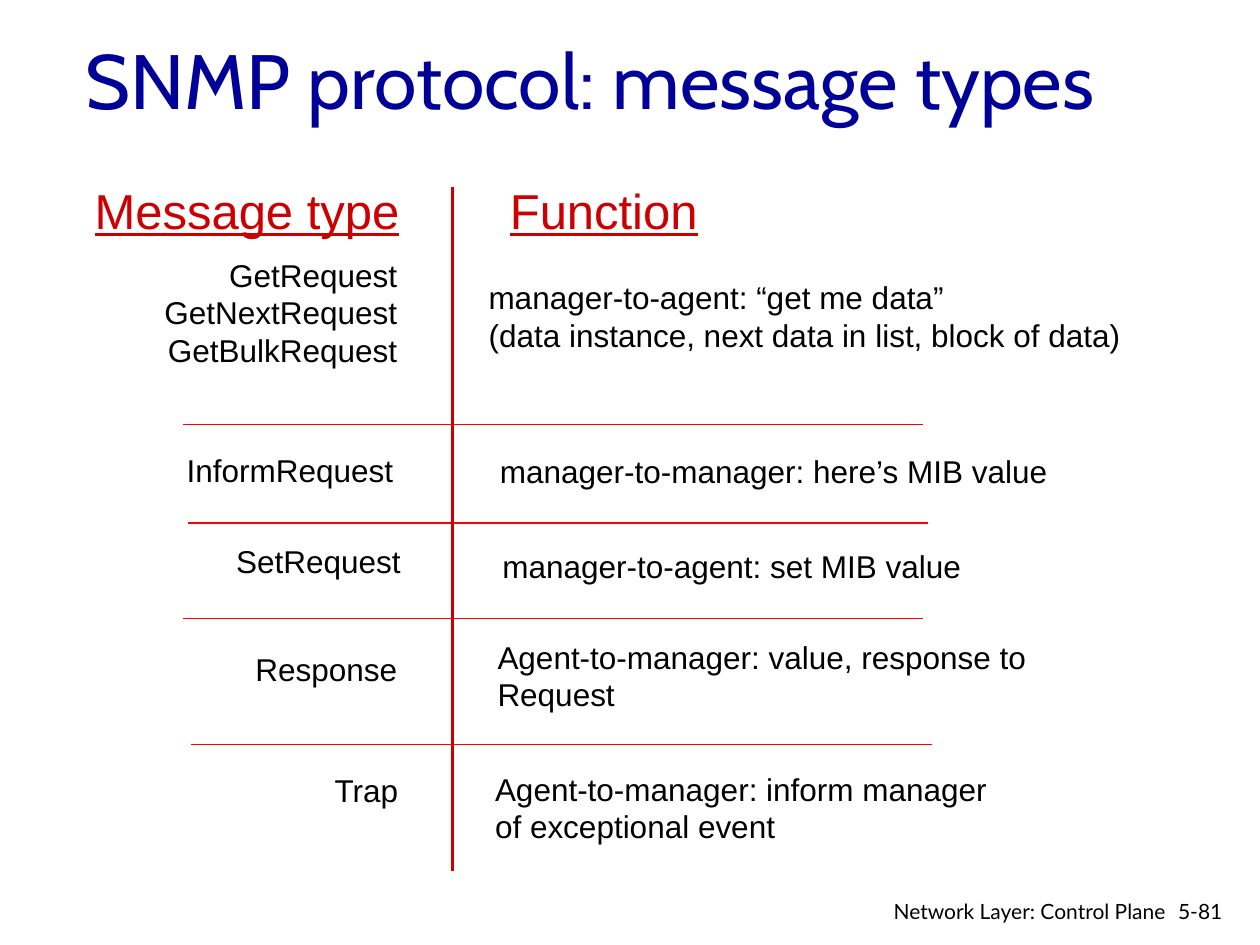
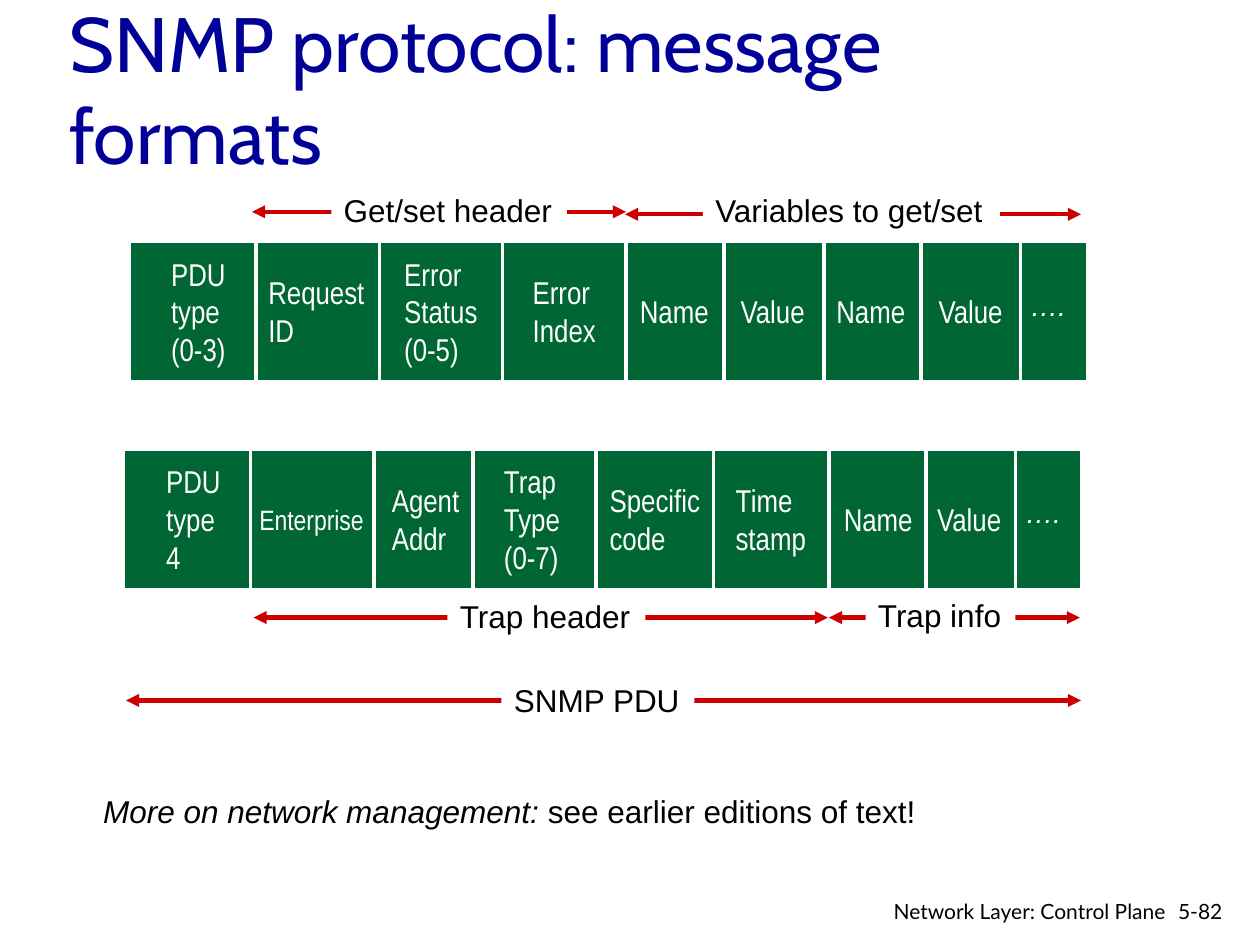
from lxml.etree import SubElement
from pptx import Presentation
from pptx.dml.color import RGBColor
from pptx.enum.shapes import MSO_CONNECTOR as Connector, MSO_SHAPE as Shape
from pptx.enum.text import MSO_ANCHOR as Anchor, MSO_AUTO_SIZE as AutoSize, PP_ALIGN as Align
from pptx.oxml.ns import qn
from pptx.util import Cm, Pt

COLORS = {
    "title": "000099",
    "ink": "000000",
    "accent": "CC0000",
    "rule": "FF0000",
    "field": "006633",
    "paper": "FFFFFF",
}
STYLES = {
    "title": ("title", {"name": "Cabin", "size": Pt(44)}),
    "heading": ("accent", {"name": "Arial", "size": Pt(28), "underline": True}),
    "body": ("ink", {"name": "Arial", "size": Pt(18)}),
    "emphasis": ("ink", {"name": "Arial", "size": Pt(18), "italic": True}),
    "field": ("paper", {"name": "Arial Narrow", "size": Pt(18)}),
    "small field": ("paper", {"name": "Arial Narrow", "size": Pt(16)}),
    "dots": ("paper", {"name": "Arial", "size": Pt(16), "italic": True}),
    "footer": ("ink", {"name": "Lato", "size": Pt(12)}),
}


def write_text(frame, runs, align=Align.LEFT, anchor=Anchor.TOP, wrap=True):
    layout = {"auto_size": AutoSize.NONE, "word_wrap": wrap, "vertical_anchor": anchor}
    for attribute, value in layout.items():
        setattr(frame, attribute, value)
    paragraph = frame.paragraphs[0]
    for text, style in runs:
        color, font_format = STYLES[style]
        for number, line in enumerate(text.split("\n")):
            if number:
                paragraph = frame.add_paragraph()
            paragraph.alignment = align
            run = paragraph.add_run()
            run.text = line
            for attribute, value in font_format.items():
                setattr(run.font, attribute, value)
            run.font.color.rgb = RGBColor.from_string(COLORS[color])


def draw_line(slide, start, end, color, width, arrows=False):
    line = slide.shapes.add_connector(Connector.STRAIGHT, *map(Cm, start + end))
    line.line.color.rgb = RGBColor.from_string(COLORS[color])
    line.line.width = Pt(width)
    if arrows:
        for tip in ("a:headEnd", "a:tailEnd"):
            SubElement(line.line._get_or_add_ln(), qn(tip), type="triangle")
    SubElement(line._element.spPr, qn("a:effectLst"))


deck = Presentation()
deck.slide_width, deck.slide_height = Cm(25.4), Cm(19.05)

TITLES = [
    ("SNMP protocol: message types", (1.47, 0, 21.59, 3.18)),
    ("SNMP protocol: message formats", (1.14, 0.61, 21.59, 2.31)),
]
slides = []
for page, (heading, area) in enumerate(TITLES, start=81):
    slide = deck.slides.add_slide(deck.slide_layouts[5])
    title = slide.shapes.title
    for side, length in zip(("left", "top", "width", "height"), area):
        setattr(title, side, Cm(length))
    write_text(title.text_frame, [(heading, "title")], anchor=Anchor.MIDDLE)
    for text, place, align in (
        (f"5-{page}", (23.5, 17.98, 1.52, 0.76), Align.LEFT),
        ("Network Layer: Control Plane", (17.7, 17.98, 6.05, 0.66), Align.RIGHT),
    ):
        footer = slide.shapes.add_textbox(*map(Cm, place))
        write_text(footer.text_frame, [(text, "footer")], align)
    slides.append(slide)
types_slide, formats_slide = slides

MESSAGES = [
    ("Message type", 8.3, 3.51, "Function", 10.03, 3.51, "heading"),
    ("GetRequest\nGetNextRequest\nGetBulkRequest", 8.26, 5.03,
     "manager-to-agent: “get me data”\n(data instance, next data in list, block of data)",
     9.6, 5.49, "body"),
    ("InformRequest", 8.18, 8.97,
     "manager-to-manager: here’s MIB value", 9.83, 8.99, "body"),
    ("SetRequest", 8.33, 10.8,
     "manager-to-agent: set MIB value", 9.88, 10.9, "body"),
    ("Response", 8.26, 12.98,
     "Agent-to-manager: value, response to\nRequest", 9.78, 12.73, "body"),
    ("Trap", 8.28, 15.42,
     "Agent-to-manager: inform manager\nof exceptional event", 9.73, 15.39, "body"),
]
TYPE_WIDTH, FUNCTION_WIDTH, LINE_HEIGHT = 7.16, 13.4, 0.77
for kind, kind_right, kind_top, function, function_left, function_top, style in MESSAGES:
    for text, left, top, width, align in (
        (kind, kind_right - TYPE_WIDTH, kind_top, TYPE_WIDTH, Align.RIGHT),
        (function, function_left, function_top, FUNCTION_WIDTH, Align.LEFT),
    ):
        height = 0.25 + LINE_HEIGHT * (text.count("\n") + 1)
        entry = types_slide.shapes.add_textbox(*map(Cm, (left, top, width, height)))
        write_text(entry.text_frame, [(text, style)], align)

for left, top in ((3.68, 8.56), (3.78, 10.54), (3.68, 12.47), (3.86, 15.01)):
    draw_line(types_slide, (left, top), (left + 14.93, top), "rule", 1)
draw_line(types_slide, (9.12, 3.76), (9.12, 17.55), "accent", 2)

BAND_WIDTH, BAND_HEIGHT = 19.28, 2.79
BANDS = [
    (2.62, 4.88, (5.16, 7.65, 10.13, 12.62, 14.6, 16.61, 18.57, 20.57), [
        ("PDU\ntype\n(0-3)", 3.2, 1.63, "field"),
        ("Request\nID", 5.16, 2.46, "field"),
        ("Error\nStatus\n(0-5)", 7.9, 2.01, "field"),
        ("Error\nIndex", 10.49, 1.8, "field"),
        ("Name", 12.65, 1.93, "field"),
        ("Value", 14.68, 1.83, "field"),
        ("Name", 16.61, 1.91, "field"),
        ("Value", 18.67, 1.83, "field"),
        ("….", 20.52, 1.37, "dots"),
    ]),
    (2.51, 9.07, (5.05, 7.54, 9.53, 12.01, 14.38, 16.71, 18.67, 20.47), [
        ("PDU\ntype\n4", 3.1, 1.63, "field"),
        ("Enterprise", 4.98, 2.64, "small field"),
        ("Agent\nAddr", 7.65, 1.88, "field"),
        ("Trap\nType\n(0-7)", 9.91, 1.65, "field"),
        ("Specific\ncode", 12.04, 2.36, "field"),
        ("Time\nstamp", 14.58, 1.96, "field"),
        ("Name", 16.76, 1.91, "field"),
        ("Value", 18.64, 1.83, "field"),
        ("….", 20.42, 1.37, "dots"),
    ]),
]
for band_left, band_top, dividers, fields in BANDS:
    area = (band_left, band_top, BAND_WIDTH, BAND_HEIGHT)
    band = formats_slide.shapes.add_shape(Shape.RECTANGLE, *map(Cm, area))
    band.shadow.inherit = False
    band.fill.solid()
    band.fill.fore_color.rgb = RGBColor.from_string(COLORS["field"])
    band.line.color.rgb = RGBColor.from_string(COLORS["paper"])
    band.line.width = Pt(0.75)
    for x in dividers:
        draw_line(formats_slide, (x, band_top), (x, band_top + BAND_HEIGHT), "paper", 2)
    for text, left, width, style in fields:
        area = (left, band_top, width, BAND_HEIGHT)
        field = formats_slide.shapes.add_textbox(*map(Cm, area))
        write_text(field.text_frame, [(text, style)], anchor=Anchor.MIDDLE, wrap=False)
        if style == "dots":
            field.text_frame.paragraphs[0].line_spacing = Pt(12)

SPANS = [
    ("Get/set header", 5.08, 12.62, 4.27, 6.68, 3.73, 4.75),
    ("Variables to get/set", 12.6, 21.79, 4.32, 14.17, 3.73, 5.99),
    ("Trap header", 5.11, 16.69, 12.45, 9.02, 11.91, 3.99),
    ("Trap info", 16.71, 21.77, 12.45, 17.45, 11.89, 3.02),
    ("SNMP PDU", 2.54, 21.79, 14.12, 10.11, 13.61, 3.89),
]
for text, start, end, y, left, top, width in SPANS:
    draw_line(formats_slide, (start, y), (end, y), "accent", 2.5, arrows=True)
    label = formats_slide.shapes.add_textbox(*map(Cm, (left, top, width, 1.02)))
    label.fill.solid()
    label.fill.fore_color.rgb = RGBColor.from_string(COLORS["paper"])
    write_text(label.text_frame, [(text, "body")], wrap=False)

further_reading = formats_slide.shapes.add_textbox(*map(Cm, (1.83, 15.85, 17.04, 1.02)))
write_text(further_reading.text_frame, [
    ("More on network management: ", "emphasis"),
    ("see earlier editions of text!", "body"),
], wrap=False)

deck.save("out.pptx")
